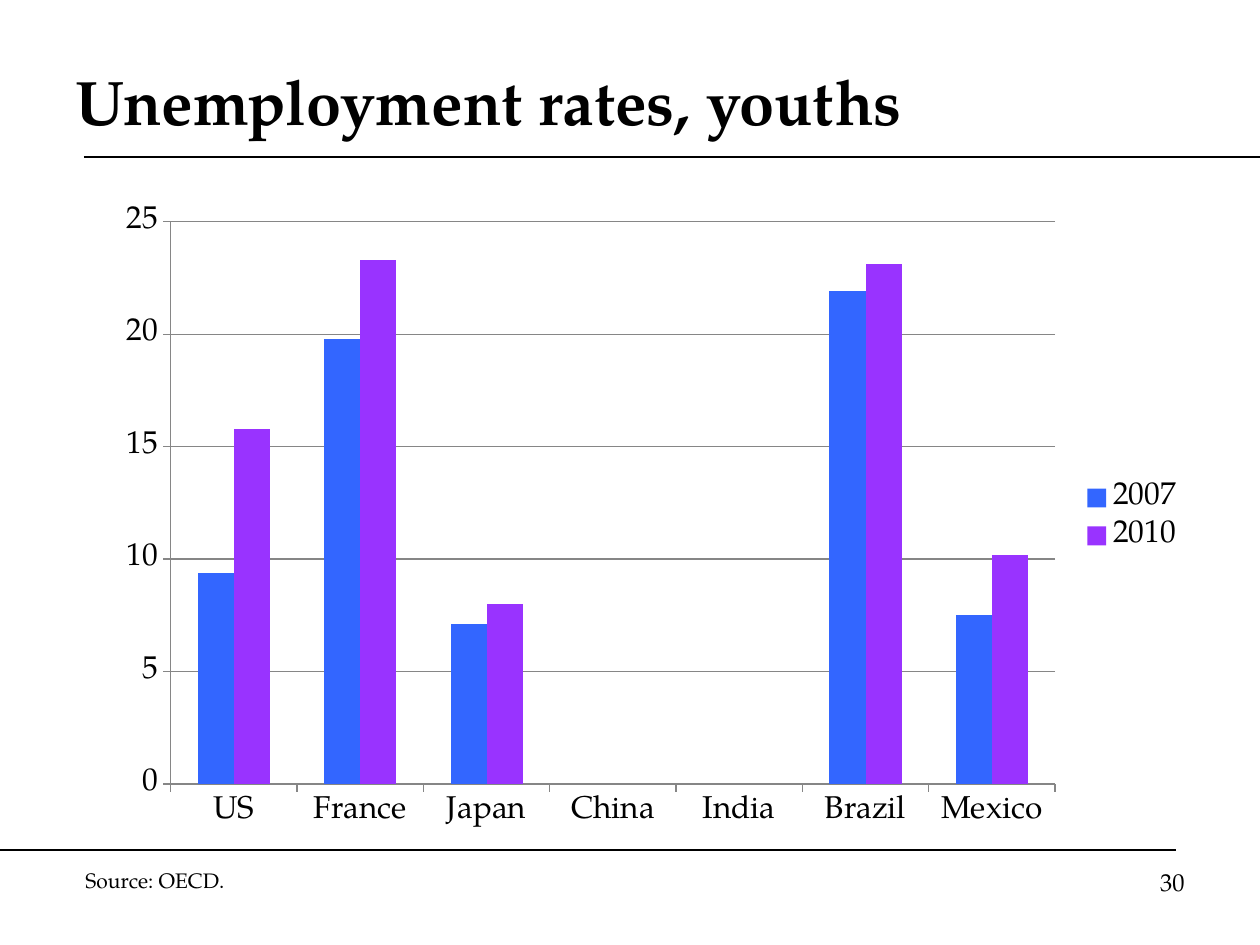
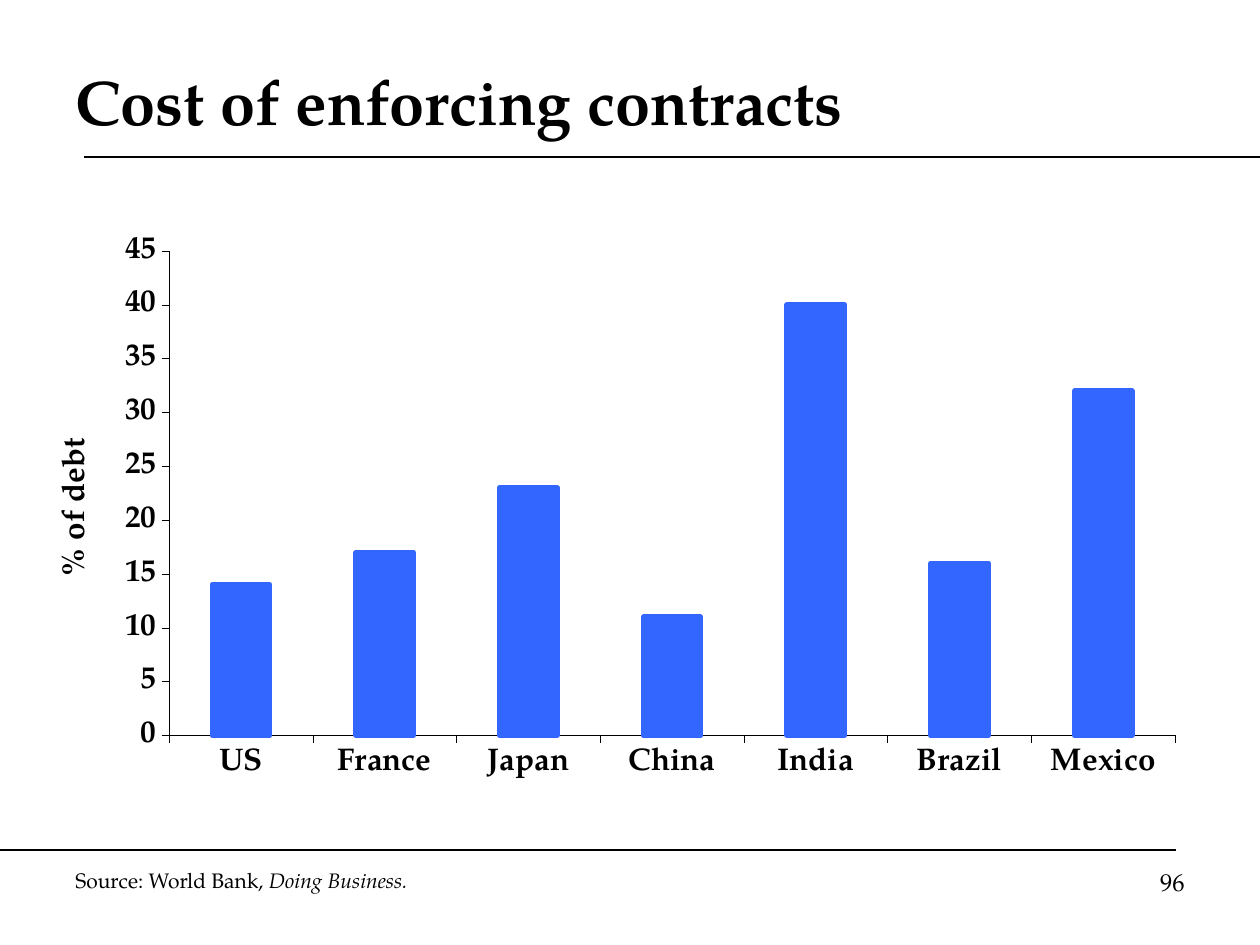
from lxml.etree import SubElement
from pptx import Presentation
from pptx.chart.data import CategoryChartData
from pptx.dml.color import RGBColor
from pptx.enum.chart import XL_CHART_TYPE as ChartType, XL_LEGEND_POSITION as LegendPosition
from pptx.enum.chart import XL_TICK_MARK as TickMark
from pptx.enum.shapes import MSO_CONNECTOR as Connector
from pptx.enum.text import MSO_ANCHOR as Anchor, PP_ALIGN as Align
from pptx.oxml import parse_xml
from pptx.oxml.ns import nsdecls, qn
from pptx.util import Pt

BLACK = RGBColor(0x00, 0x00, 0x00)
GREY = RGBColor(0x86, 0x86, 0x86)
BLUE = RGBColor(0x33, 0x66, 0xFF)
PURPLE = RGBColor(0x99, 0x33, 0xFF)
FONT = "TeX Gyre Pagella"

COUNTRIES = ["US", "France", "Japan", "China", "India", "Brazil", "Mexico"]
RULES = [(84, 157, 1260, 157), (0, 850, 1176, 850)]
TITLE_BOX = (63, 42, 1134, 116)
NUMBER_BOX = (903, 861, 294, 66)

SLIDES = [
    {
        "title": "Unemployment rates, youths",
        "number": "30",
        "source": [("Source: OECD.", False)],
        "source_box": (73, 861, 609, 38),
        "chart_box": (105, 193, 1092, 648),
        "series": [
            ("2007", BLUE, [9.4, 19.8, 7.1, None, None, 21.9, 7.5]),
            ("2010", PURPLE, [15.8, 23.3, 8, None, None, 23.1, 10.2]),
        ],
        "top": 25,
        "size": 18,
        "bold": False,
        "axis_line": (GREY, 0.75),
        "grid": True,
    },
    {
        "title": "Cost of enforcing contracts",
        "number": "96",
        "source": [("Source: World Bank, ", False), ("Doing Business.", True)],
        "source_box": (63, 861, 809, 38),
        "chart_box": (21, 202, 1166, 636),
        "series": [("Series 1", BLUE, [14, 17, 23, 11, 40, 16, 32])],
        "top": 45,
        "size": 17.9,
        "bold": True,
        "axis_line": (BLACK, 0.25),
        "grid": False,
        "axis_title": "% of debt",
        "plot_area": {"x": 0.127, "y": 0.077, "w": 0.863, "h": 0.762},
        "outline": 3,
    },
]


def px(*lengths):
    return [round(length * 914400 / 126) for length in lengths]


def style_font(font, size, bold=False):
    font.name = FONT
    font.size = Pt(size)
    font.bold = bold
    font.color.rgb = BLACK


def style_line(line, color, width):
    line.color.rgb = color
    line.width = Pt(width)


def add_text(slide, box, runs, size, bold=False, align=Align.LEFT, anchor=Anchor.TOP):
    frame = slide.shapes.add_textbox(*px(*box)).text_frame
    frame.word_wrap = True
    frame.vertical_anchor = anchor
    paragraph = frame.paragraphs[0]
    paragraph.alignment = align
    style_font(paragraph.font, size, bold)
    for text, italic in runs:
        run = paragraph.add_run()
        run.text = text
        if italic:
            run.font.italic = True


def add_rule(slide, ends):
    rule = slide.shapes.add_connector(Connector.STRAIGHT, *px(*ends))
    style_line(rule.line, BLACK, 0.75)
    SubElement(rule._element.spPr, qn("a:effectLst"))


def place_plot_area(chart, area):
    plot_area = chart._chartSpace.chart.plotArea
    for layout in plot_area.findall(qn("c:layout")):
        plot_area.remove(layout)
    modes = "".join(f'<c:{key}Mode val="edge"/>' for key in "xy")
    sizes = "".join(f'<c:{key} val="{value}"/>' for key, value in area.items())
    plot_area.insert(0, parse_xml(
        f'<c:layout {nsdecls("c")}><c:manualLayout><c:layoutTarget val="inner"/>'
        f"{modes}{sizes}</c:manualLayout></c:layout>"))


def add_axis_title(axis, text, size, bold):
    frame = axis.axis_title.text_frame
    frame.text = text
    style_font(frame.paragraphs[0].font, size, bold)
    body = frame._txBody.find(qn("a:bodyPr"))
    body.set("rot", "-5400000")
    body.set("vert", "horz")


def add_column_chart(slide, content):
    data = CategoryChartData()
    data.categories = COUNTRIES
    for name, _, values in content["series"]:
        data.add_series(name, values)
    chart = slide.shapes.add_chart(
        ChartType.COLUMN_CLUSTERED, *px(*content["chart_box"]), data).chart
    size, bold = content["size"], content["bold"]
    style_font(chart.font, size, bold)
    chart.has_title = False
    chart.has_legend = len(content["series"]) > 1
    if chart.has_legend:
        chart.legend.position = LegendPosition.RIGHT
        chart.legend.include_in_layout = False

    plot = chart.plots[0]
    plot.vary_by_categories = False
    plot.gap_width = 150
    plot.overlap = 0
    for series, (_, color, _) in zip(plot.series, content["series"]):
        series.format.fill.solid()
        series.format.fill.fore_color.rgb = color
        if "outline" in content:
            style_line(series.format.line, color, content["outline"])

    for axis in (chart.category_axis, chart.value_axis):
        axis.major_tick_mark = TickMark.OUTSIDE
        axis.minor_tick_mark = TickMark.NONE
        style_font(axis.tick_labels.font, size, bold)
        style_line(axis.format.line, *content["axis_line"])
    values = chart.value_axis
    values.minimum_scale, values.maximum_scale, values.major_unit = 0, content["top"], 5
    values.has_major_gridlines = content["grid"]
    if content["grid"]:
        style_line(values.major_gridlines.format.line, *content["axis_line"])
    if "axis_title" in content:
        add_axis_title(values, content["axis_title"], size, bold)
    if "plot_area" in content:
        place_plot_area(chart, content["plot_area"])


def main():
    deck = Presentation()
    deck.slide_width, deck.slide_height = px(1260, 945)
    for content in SLIDES:
        slide = deck.slides.add_slide(deck.slide_layouts[6])
        for ends in RULES:
            add_rule(slide, ends)
        add_text(slide, TITLE_BOX, [(content["title"], False)], 36, True, anchor=Anchor.MIDDLE)
        add_column_chart(slide, content)
        add_text(slide, content["source_box"], content["source"], 12)
        add_text(slide, NUMBER_BOX, [(content["number"], False)], 14, align=Align.RIGHT)
    deck.save("out.pptx")


if __name__ == "__main__":
    main()
